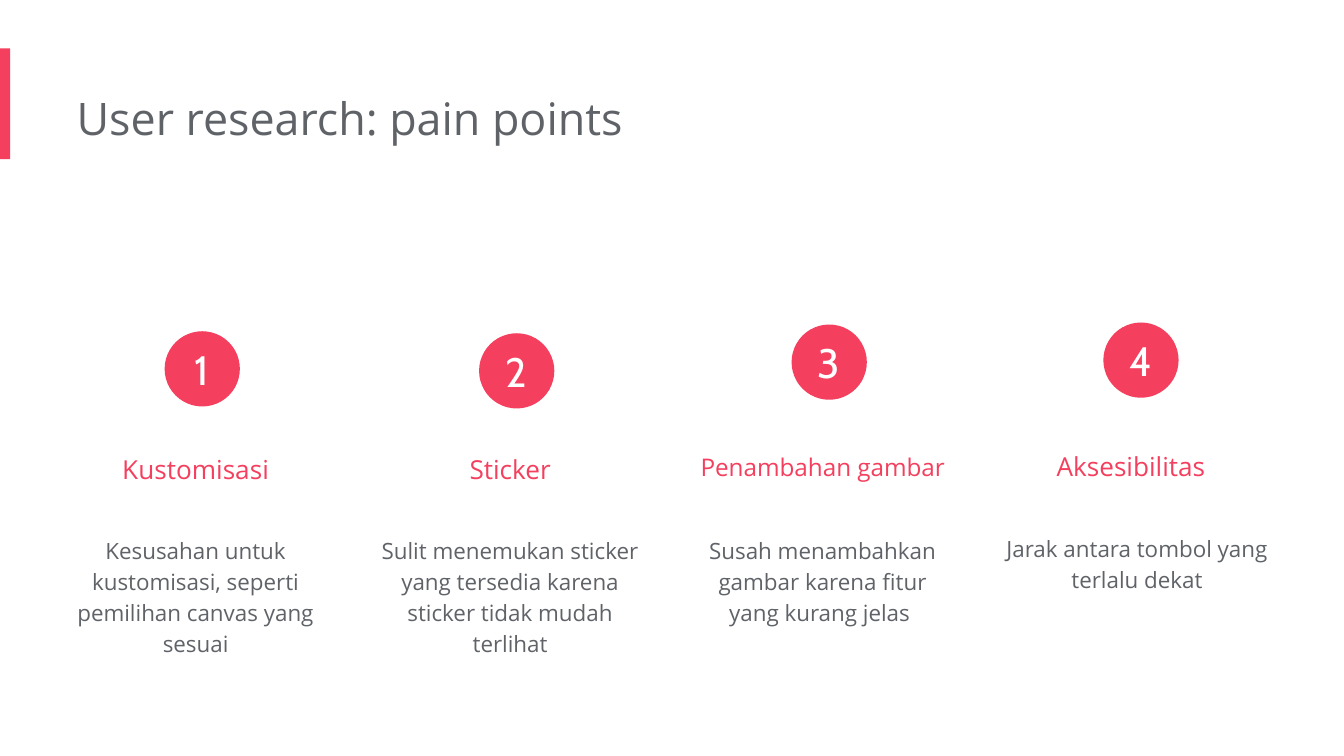
from pptx import Presentation
from pptx.dml.color import RGBColor
from pptx.enum.shapes import MSO_SHAPE
from pptx.enum.text import MSO_ANCHOR, MSO_AUTO_SIZE, PP_ALIGN
from pptx.util import Pt

RECTANGLE, OVAL = MSO_SHAPE.RECTANGLE, MSO_SHAPE.OVAL
LEFT, CENTER = PP_ALIGN.LEFT, PP_ALIGN.CENTER
TOP, MIDDLE = MSO_ANCHOR.TOP, MSO_ANCHOR.MIDDLE
GROW, FIXED = MSO_AUTO_SIZE.SHAPE_TO_FIT_TEXT, MSO_AUTO_SIZE.NONE

PX = 4572  # 200 px to the inch
THEME = {
    "accent": RGBColor(0xF4, 0x3F, 0x5E),
    "gray": RGBColor(0x5F, 0x63, 0x68),
    "white": RGBColor(0xFF, 0xFF, 0xFF),
    "font": "Open Sans",
    "number_font": "Cabin",
    "title": 24,
    "number": 22,
    "heading": 14,
    "long_heading": 13,
    "body": 12,
}


def write(shape, text, *, size, color, font=THEME["font"], align=CENTER, spacing=1.0,
          insets=(0, 20, 20, 20), anchor=TOP, fit=GROW):
    frame = shape.text_frame
    frame.word_wrap = True
    frame.auto_size = fit
    frame.vertical_anchor = anchor
    (frame.margin_left, frame.margin_top,
     frame.margin_right, frame.margin_bottom) = [inset * PX for inset in insets]
    paragraph = frame.paragraphs[0]
    paragraph.alignment = align
    paragraph.line_spacing = spacing
    run = paragraph.add_run()
    run.text = text
    run.font.name = font
    run.font.size = Pt(size)
    run.font.color.rgb = color


def add_accent(kind, left, top, width, height):
    shape = slide.shapes.add_shape(kind, left * PX, top * PX, width * PX, height * PX)
    shape.shadow.inherit = False
    shape.fill.solid()
    shape.fill.fore_color.rgb = THEME["accent"]
    shape.line.fill.background()
    return shape


prs = Presentation()
prs.slide_width, prs.slide_height = 2000 * PX, 1125 * PX
slide = prs.slides.add_slide(prs.slide_layouts[6])

# Title with its accent bar
add_accent(RECTANGLE, 0, 72, 15, 165)
title = slide.shapes.add_textbox(114 * PX, 115 * PX, 1684 * PX, 122 * PX)
write(title, "User research: pain points", size=THEME["title"], color=THEME["gray"], align=LEFT)

# Pain points: circle (left, top), heading (left, top, height, size), body (left, top, height)
COLUMN_WIDTH, CIRCLE = 410, 112
pain_points = [
    ((245, 493), (96, 632, 112, "heading"), (96, 774, 226), "Kustomisasi",
     "Kesusahan untuk kustomisasi, seperti pemilihan canvas yang sesuai"),
    ((713, 496), (564, 632, 112, "heading"), (564, 774, 272), "Sticker",
     "Sulit menemukan sticker yang tersedia karena sticker tidak mudah terlihat"),
    ((1178, 483), (1029, 632, 106, "long_heading"), (1029, 774, 226), "Penambahan gambar",
     "Susah menambahkan gambar karena fitur yang kurang jelas "),
    ((1642, 480), (1493, 627, 112, "heading"), (1497, 771, 180), "Aksesibilitas ",
     "Jarak antara tombol yang terlalu dekat"),
]
for number, (circle_at, heading_at, body_at, heading, body) in enumerate(pain_points, 1):
    left, top, height, level = heading_at
    heading_box = slide.shapes.add_textbox(left * PX, top * PX, COLUMN_WIDTH * PX, height * PX)
    write(heading_box, heading, size=THEME[level], color=THEME["accent"], spacing=1.5)

    left, top, height = body_at
    body_box = slide.shapes.add_textbox(left * PX, top * PX, COLUMN_WIDTH * PX, height * PX)
    write(body_box, body, size=THEME["body"], color=THEME["gray"], spacing=1.15)

    circle = add_accent(OVAL, *circle_at, CIRCLE, CIRCLE)
    write(circle, str(number), size=THEME["number"], color=THEME["white"],
          font=THEME["number_font"], insets=(0, 0, 0, 0), anchor=MIDDLE, fit=FIXED)

prs.save("out.pptx")
